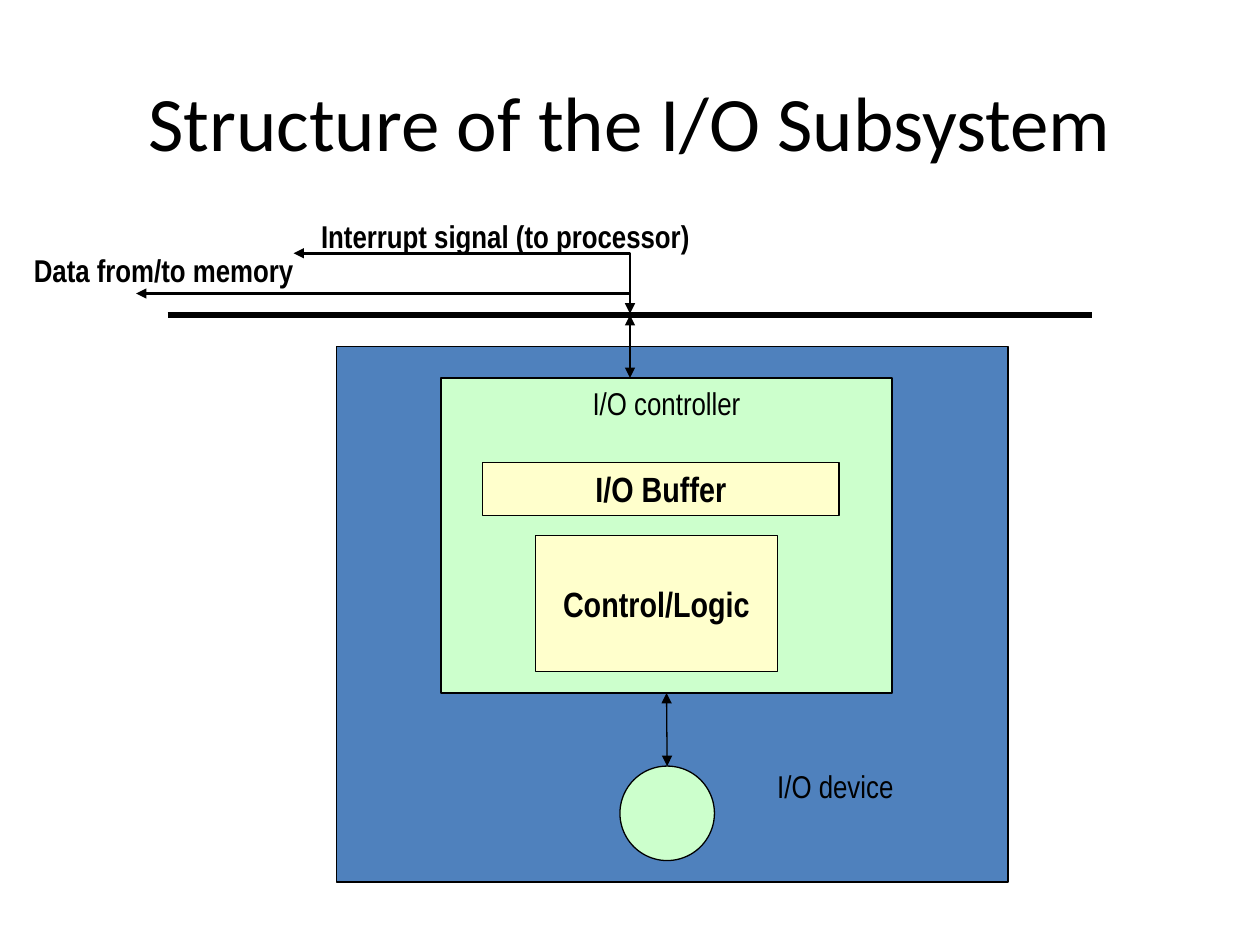
from lxml.etree import SubElement
from pptx import Presentation
from pptx.dml.color import RGBColor
from pptx.enum.shapes import MSO_CONNECTOR, MSO_SHAPE
from pptx.enum.text import MSO_ANCHOR, MSO_AUTO_SIZE, PP_ALIGN
from pptx.oxml.ns import qn
from pptx.util import Inches, Pt

BLACK = RGBColor(0x00, 0x00, 0x00)
BLUE = RGBColor(0x4F, 0x81, 0xBD)
GREEN = RGBColor(0xCC, 0xFF, 0xCC)
YELLOW = RGBColor(0xFF, 0xFF, 0xCC)
LABEL_FONT = "Arial Narrow"

TITLE = ("Structure of the I/O Subsystem", (0.75, 0.5, 8.5, 0.92))
SHAPES = {
    "device": (MSO_SHAPE.RECTANGLE, (2.67, 2.75, 5.33, 4.25), BLUE),
    "controller": (MSO_SHAPE.RECTANGLE, (3.5, 3, 3.58, 2.5), GREEN),
    "buffer": (MSO_SHAPE.RECTANGLE, (3.83, 3.67, 2.83, 0.42), YELLOW),
    "logic": (MSO_SHAPE.RECTANGLE, (4.25, 4.25, 1.92, 1.08), YELLOW),
    "unit": (MSO_SHAPE.OVAL, (4.92, 6.08, 0.75, 0.75), GREEN),
}
SHAPE_TEXTS = [
    ("controller", "I/O controller", 18, False, MSO_ANCHOR.TOP),
    ("buffer", "I/O Buffer", 20, True, MSO_ANCHOR.MIDDLE),
    ("logic", "Control/Logic", 20, True, MSO_ANCHOR.MIDDLE),
]
LABELS = [
    ("I/O device", (6.07, 6.04, 1.44, 0.5), False),
    ("Data from/to memory", (0.17, 1.94, 2.26, 0.4), True),
    ("Interrupt signal (to processor)", (2.45, 1.67, 3.13, 0.4), True),
]
BUS_Y = 2.5
LINK_X = 5
STRAIGHT_LINES = [
    ((1.33, BUS_Y), (8.67, BUS_Y), 4, ()),
    ((LINK_X, 3), (LINK_X, BUS_Y), 1.5, ("headEnd", "tailEnd")),
]
SIGNAL_LINES = [
    ((2.33, 2.01), (LINK_X, 2.33), 1.5, ("headEnd",)),
    ((1.08, 2.33), (LINK_X, 2.49), 1.5, ("headEnd", "tailEnd")),
]


def inches(values):
    return [Inches(value) for value in values]


def write(shape, text, size, font, bold, align, anchor, wrap):
    frame = shape.text_frame
    frame.word_wrap = wrap
    frame.vertical_anchor = anchor
    para = frame.paragraphs[0]
    para.alignment = align
    span = para.add_run()
    span.text = text
    span.font.size = Pt(size)
    span.font.name = font
    span.font.bold = bold
    span.font.color.rgb = BLACK


def add_line(page, kind, start, end, width, arrowheads):
    line = page.shapes.add_connector(kind, *inches(start + end))
    line.line.color.rgb = BLACK
    line.line.width = Pt(width)
    properties = line._element.spPr
    outline = properties.find(qn("a:ln"))
    for arrowhead in arrowheads:
        SubElement(outline, qn(f"a:{arrowhead}"), type="triangle")
    SubElement(properties, qn("a:effectLst"))
    return line


def main():
    deck = Presentation()
    deck.slide_width, deck.slide_height = inches((10, 7.5))
    page = deck.slides.add_slide(deck.slide_layouts[6])

    title, place = TITLE
    box = page.shapes.add_textbox(*inches(place))
    write(box, title, 44, "Calibri", False, PP_ALIGN.CENTER, MSO_ANCHOR.MIDDLE, True)

    parts = {}
    for name, (kind, place, fill) in SHAPES.items():
        shape = page.shapes.add_shape(kind, *inches(place))
        shape.shadow.inherit = False
        shape.fill.solid()
        shape.fill.fore_color.rgb = fill
        shape.line.color.rgb = BLACK
        shape.line.width = Pt(0.75)
        parts[name] = shape
    for name, text, size, bold, anchor in SHAPE_TEXTS:
        write(parts[name], text, size, LABEL_FONT, bold, PP_ALIGN.CENTER, anchor, False)

    unit_link = add_line(page, MSO_CONNECTOR.STRAIGHT, (5.29, 6.08), (5.29, 5.5),
                         0.75, ("headEnd", "tailEnd"))
    unit_link.begin_connect(parts["unit"], 0)
    unit_link.end_connect(parts["controller"], 2)
    for line in STRAIGHT_LINES:
        add_line(page, MSO_CONNECTOR.STRAIGHT, *line)
    for line in SIGNAL_LINES:
        signal = add_line(page, MSO_CONNECTOR.ELBOW, *line)
        signal._element.spPr.find(qn("a:prstGeom")).set("prst", "bentConnector2")

    for text, place, bold in LABELS:
        box = page.shapes.add_textbox(*inches(place))
        write(box, text, 18, LABEL_FONT, bold, PP_ALIGN.LEFT, MSO_ANCHOR.TOP, False)
        box.text_frame.auto_size = MSO_AUTO_SIZE.SHAPE_TO_FIT_TEXT

    deck.save("out.pptx")


if __name__ == "__main__":
    main()
